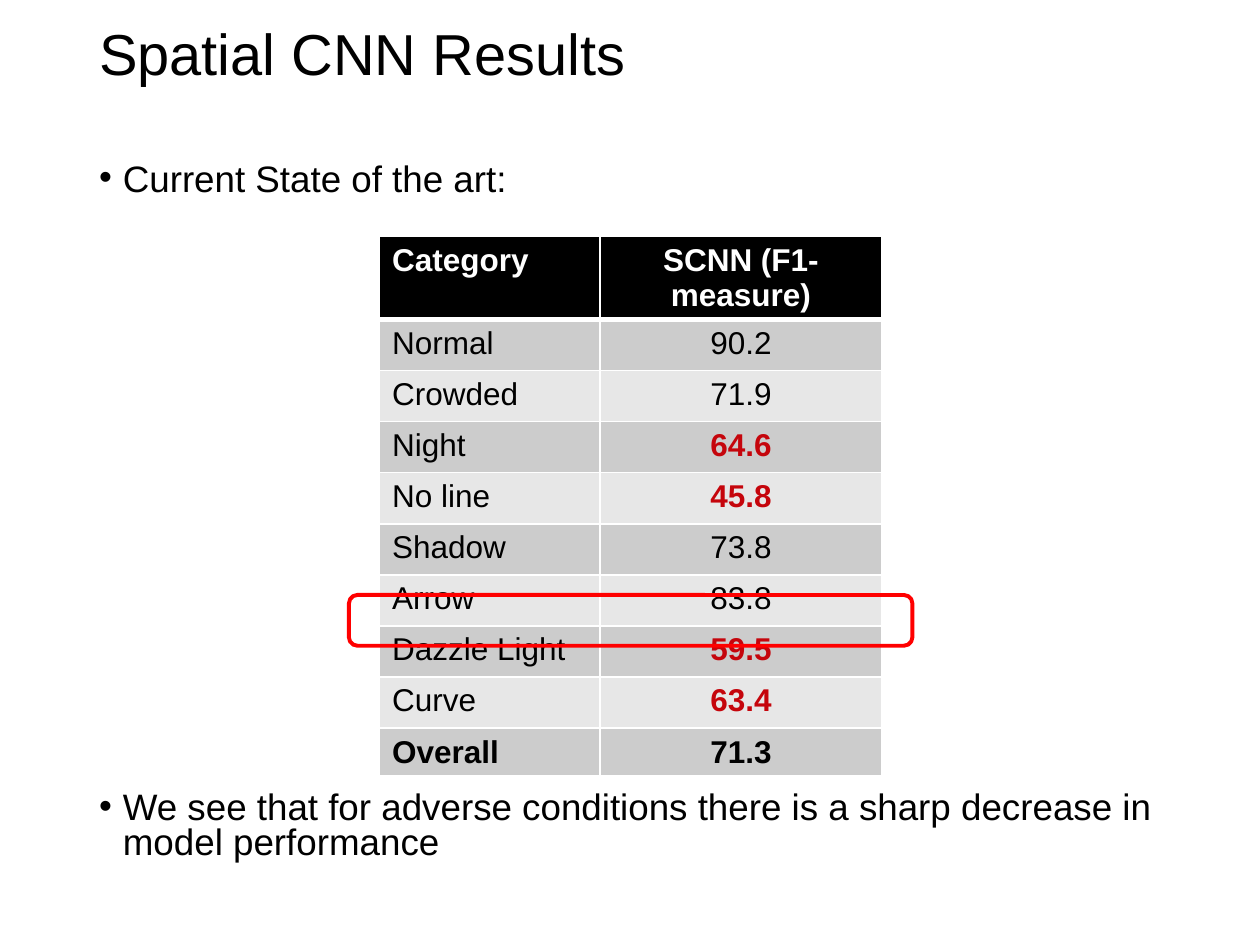
"""Build the Spatial CNN results slide."""
from typing import NamedTuple

from lxml.etree import SubElement
from pptx import Presentation
from pptx.dml.color import RGBColor
from pptx.enum.shapes import MSO_SHAPE as Shape
from pptx.enum.text import MSO_ANCHOR as Anchor, MSO_AUTO_SIZE as AutoSize, PP_ALIGN as Align
from pptx.oxml.ns import qn
from pptx.util import Pt

BLACK = RGBColor(0x00, 0x00, 0x00)
WHITE = RGBColor(0xFF, 0xFF, 0xFF)
DARK_BAND = RGBColor(0xCC, 0xCC, 0xCC)
LIGHT_BAND = RGBColor(0xE7, 0xE7, 0xE7)
LOW_SCORE = RGBColor(0xC5, 0x05, 0x0C)
HIGHLIGHT = RGBColor(0xFF, 0x00, 0x00)
FONT = "Arial"
COLUMN_WIDTHS = (126, 161)
ROW_HEIGHT = 29.2
LAST_ROW_HEIGHT = 21.6


class Bullet(NamedTuple):
    text: str
    space_before: float


class Result(NamedTuple):
    category: str
    score: str
    low: bool = False
    strong: bool = False


BULLETS = (
    Bullet("Current State of the art:", 0),
    Bullet("We see that for adverse conditions there is a sharp decrease in model performance", 339),
)
RESULTS = (
    Result("Normal", "90.2"),
    Result("Crowded", "71.9"),
    Result("Night", "64.6", low=True),
    Result("No line", "45.8", low=True),
    Result("Shadow", "73.8"),
    Result("Arrow", "83.8"),
    Result("Dazzle Light", "59.5", low=True),
    Result("Curve", "63.4", low=True),
    Result("Overall", "71.3", strong=True),
)


def place(shape, left: float, top: float, width: float, height: float) -> None:
    """Move and size a shape."""
    shape.left, shape.top, shape.width, shape.height = map(Pt, (left, top, width, height))


def style(paragraph, size: float, color: RGBColor, bold: bool = False) -> None:
    """Set the font of a paragraph."""
    font = paragraph.font
    font.name, font.size, font.bold = FONT, Pt(size), bold
    font.color.rgb = color


def write_title(title) -> None:
    """Fill the title placeholder."""
    place(title, 49.5, 7.2, 620.6, 50.4)
    frame = title.text_frame
    frame.text = "Spatial CNN Results"
    frame.auto_size, frame.vertical_anchor = AutoSize.NONE, Anchor.MIDDLE
    paragraph = frame.paragraphs[0]
    paragraph.alignment, paragraph.line_spacing = Align.LEFT, 0.9
    style(paragraph, 33, BLACK)


def write_bullets(body) -> None:
    """Fill the body placeholder with the bullets."""
    place(body, 49.5, 90, 620.6, 419)
    frame = body.text_frame
    frame.auto_size = AutoSize.NONE
    frame.text = "\n".join(bullet.text for bullet in BULLETS)
    for paragraph, bullet in zip(frame.paragraphs, BULLETS):
        paragraph.line_spacing, paragraph.space_before = 0.8, Pt(bullet.space_before)
        properties = paragraph._p.get_or_add_pPr()
        properties.set("marL", str(Pt(13.5)))
        properties.set("indent", str(-Pt(13.5)))
        SubElement(properties, qn("a:buFont"), typeface=FONT)
        SubElement(properties, qn("a:buChar"), char="•")
        style(paragraph, 21, BLACK)


def add_borders(cell, bottom: float) -> None:
    """Draw white borders around a cell."""
    properties = cell._tc.get_or_add_tcPr()
    for side, width in (("L", 1), ("R", 1), ("T", 1), ("B", bottom)):
        line = SubElement(properties, qn(f"a:ln{side}"), w=str(Pt(width)))
        fill = SubElement(line, qn("a:solidFill"))
        SubElement(fill, qn("a:srgbClr"), val=str(WHITE))


def fill_cell(cell, text: str, fill: RGBColor, color: RGBColor, bold: bool,
              align: Align, bottom: float = 1) -> None:
    """Write and format one table cell."""
    add_borders(cell, bottom)
    cell.fill.solid()
    cell.fill.fore_color.rgb = fill
    cell.text = text
    paragraph = cell.text_frame.paragraphs[0]
    paragraph.alignment = align
    style(paragraph, 18, color, bold)


def add_results(page) -> None:
    """Add the table of scores by category."""
    height = ROW_HEIGHT * len(RESULTS) + LAST_ROW_HEIGHT
    table = page.shapes.add_table(len(RESULTS) + 1, len(COLUMN_WIDTHS), Pt(216.9), Pt(135),
                                  Pt(sum(COLUMN_WIDTHS)), Pt(height)).table
    for column, width in zip(table.columns, COLUMN_WIDTHS):
        column.width = Pt(width)
    for row in table.rows:
        row.height = Pt(ROW_HEIGHT)
    table.rows[len(RESULTS)].height = Pt(LAST_ROW_HEIGHT)
    fill_cell(table.cell(0, 0), "Category", BLACK, WHITE, True, Align.LEFT, 3)
    fill_cell(table.cell(0, 1), "SCNN (F1-measure)", BLACK, WHITE, True, Align.CENTER, 3)
    for index, result in enumerate(RESULTS, 1):
        band = DARK_BAND if index % 2 else LIGHT_BAND
        color = LOW_SCORE if result.low else BLACK
        fill_cell(table.cell(index, 0), result.category, band, BLACK, result.strong, Align.LEFT)
        fill_cell(table.cell(index, 1), result.score, band, color,
                  result.low or result.strong, Align.CENTER)


def add_highlight(page) -> None:
    """Add the red outline across the table."""
    box = page.shapes.add_shape(Shape.ROUNDED_RECTANGLE, Pt(199.4), Pt(340), Pt(322), Pt(29))
    box.shadow.inherit = False
    box.fill.background()
    box.line.color.rgb = HIGHLIGHT
    box.line.width = Pt(2.25)


def main() -> None:
    """Build and save the deck."""
    deck = Presentation()
    deck.slide_width, deck.slide_height = Pt(720), Pt(540)
    page = deck.slides.add_slide(deck.slide_layouts[1])
    write_title(page.shapes.title)
    write_bullets(page.placeholders[1])
    add_results(page)
    add_highlight(page)
    deck.save("out.pptx")


if __name__ == "__main__":
    main()
